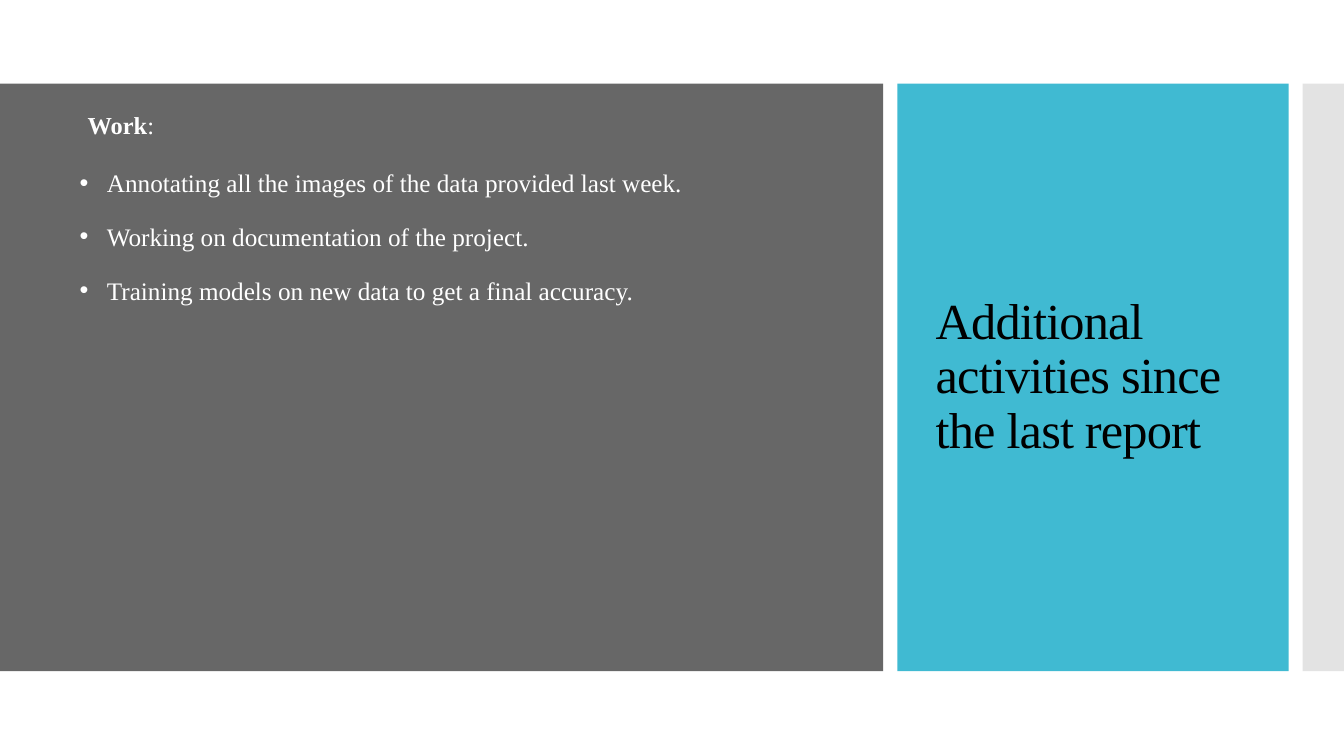
from lxml.etree import SubElement
from pptx import Presentation
from pptx.dml.color import RGBColor
from pptx.enum.shapes import MSO_SHAPE as SHAPE
from pptx.enum.text import MSO_ANCHOR as ANCHOR, MSO_AUTO_SIZE as AUTO, PP_ALIGN as ALIGN
from pptx.oxml.ns import qn
from pptx.util import Inches, Pt

FONT = "Times New Roman"
BAND_TOP, BAND_HEIGHT = 0.83, 5.83
PANELS = [(0, 8.76, "676767"), (8.9, 3.88, "40BAD2"), (12.92, 0.41, "E3E3E3")]
ACTIVITIES = [
    "Annotating all the images of the data provided last week.",
    "Working on documentation of the project.",
    "Training models on new data to get a final accuracy.",
]


def color(hex_value):
    return RGBColor.from_string(hex_value)


def set_format(target, **values):
    for name, value in values.items():
        setattr(target, name, value)


def set_font(font, size, hex_value, bold=False):
    set_format(font, name=FONT, size=Pt(size), bold=bold)
    font.color.rgb = color(hex_value)


def place(sp, left, top, width, height):
    set_format(sp, left=Inches(left), top=Inches(top),
               width=Inches(width), height=Inches(height))


def set_frame(tf, anchor, inset):
    set_format(tf, word_wrap=True, auto_size=AUTO.NONE, vertical_anchor=anchor)
    for side in ("left", "top", "right", "bottom"):
        setattr(tf, f"margin_{side}", Inches(inset))


def add_panel(s, left, width, fill):
    sp = s.shapes.add_shape(SHAPE.RECTANGLE, Inches(left), Inches(BAND_TOP),
                            Inches(width), Inches(BAND_HEIGHT))
    sp.shadow.inherit = False
    sp.fill.solid()
    sp.fill.fore_color.rgb = color(fill)
    sp.line.fill.background()
    # Panels go behind the placeholders
    s.shapes.title._element.addprevious(sp._element)


def fill_title(sp, text):
    place(sp, 9.18, 1.23, 3.22, 5.03)
    set_frame(sp.text_frame, ANCHOR.MIDDLE, 0.1)
    p = sp.text_frame.paragraphs[0]
    set_format(p, alignment=ALIGN.LEFT, line_spacing=0.9)
    r = p.add_run()
    r.text = text
    set_font(r.font, 36, "000000")
    r.font._element.set("spc", "-60")


def add_heading(s, word, mark):
    sp = s.shapes.add_textbox(Inches(0.87), Inches(1.08), Inches(4.93), Inches(0.3))
    set_frame(sp.text_frame, ANCHOR.BOTTOM, 0)
    p = sp.text_frame.paragraphs[0]
    for text, bold in ((word, True), (mark, False)):
        r = p.add_run()
        r.text = text
        set_font(r.font, 17.4, "FFFFFF", bold)


def add_bullet(p, indent):
    pPr = p._p.get_or_add_pPr()
    pPr.set("marL", str(Inches(indent)))
    pPr.set("indent", str(-Inches(indent)))
    SubElement(pPr, qn("a:buFont"), typeface="Arial")
    SubElement(pPr, qn("a:buChar"), char="•")


def fill_list(sp, items):
    place(sp, 0.79, 1.51, 6.96, 1.48)
    tf = sp.text_frame
    set_frame(tf, ANCHOR.TOP, 0)
    for i, item in enumerate(items):
        p = tf.paragraphs[0] if i == 0 else tf.add_paragraph()
        add_bullet(p, 0.27)
        set_format(p, line_spacing=1.5, space_before=Pt(0), space_after=Pt(6))
        r = p.add_run()
        r.text = item
        set_font(r.font, 18, "FFFFFF")


def main():
    prs = Presentation()
    set_format(prs, slide_width=Inches(13.33), slide_height=Inches(7.5))
    s = prs.slides.add_slide(prs.slide_layouts[1])

    # Coloured band
    for panel in PANELS:
        add_panel(s, *panel)

    # Title and work list
    fill_title(s.shapes.title, "Additional activities since the last report")
    add_heading(s, "Work", ":")
    fill_list(s.placeholders[1], ACTIVITIES)

    prs.save("out.pptx")


if __name__ == "__main__":
    main()
